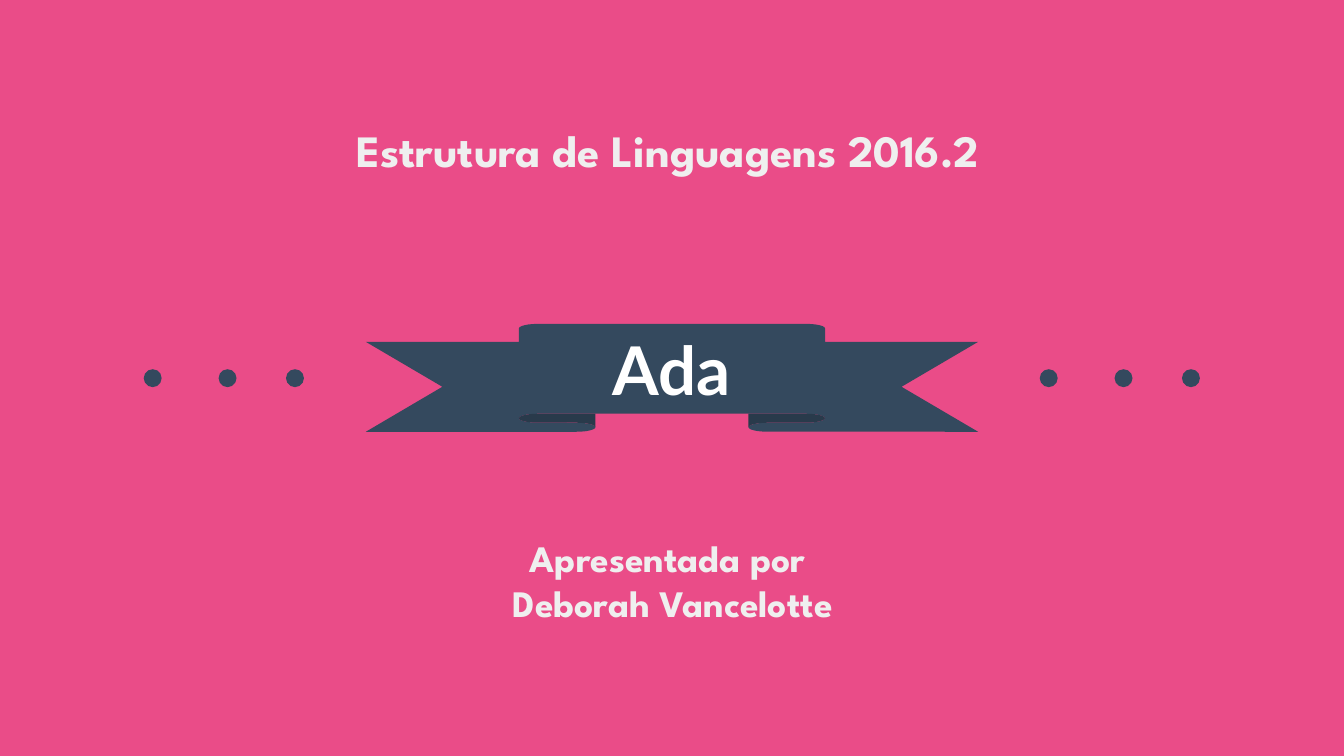
from typing import NamedTuple

from pptx import Presentation
from pptx.dml.color import RGBColor
from pptx.enum.shapes import MSO_SHAPE
from pptx.enum.text import MSO_ANCHOR, MSO_AUTO_SIZE, PP_ALIGN
from pptx.util import Pt

RECTANGLE, RIBBON, OVAL = MSO_SHAPE.RECTANGLE, MSO_SHAPE.UP_RIBBON, MSO_SHAPE.OVAL
TOP, MIDDLE = MSO_ANCHOR.TOP, MSO_ANCHOR.MIDDLE
LEFT, CENTER = PP_ALIGN.LEFT, PP_ALIGN.CENTER
NO_AUTOFIT = MSO_AUTO_SIZE.NONE
TITLE_ONLY = 5

COLORS = {"pink": "EA4C88", "navy": "34495E", "white": "FFFFFF", "pale": "EFEFEF"}
HEADING_FONT, RIBBON_FONT = "League Spartan", "Lato"
INSET = 7.2
DOT_SIZE, DOT_TOP = 9.6, 197.8
DOT_GROUPS = (77.0, 557.0)
DOT_OFFSETS = (0, 40.1, 76.2)


class Box(NamedTuple):
    left: float
    top: float
    width: float
    height: float


class TextStyle(NamedTuple):
    font: str
    size: float
    color: str
    align: PP_ALIGN = CENTER
    anchor: MSO_ANCHOR = TOP


def draw_shape(slide, kind: MSO_SHAPE, box: Box, color: str):
    shape = slide.shapes.add_shape(kind, *map(Pt, box))
    shape.shadow.inherit = False
    shape.fill.solid()
    shape.fill.fore_color.rgb = RGBColor.from_string(COLORS[color])
    shape.line.fill.background()
    return shape


def write_lines(frame, lines: tuple[str, ...], style: TextStyle) -> None:
    frame.word_wrap = True
    frame.auto_size = NO_AUTOFIT
    frame.vertical_anchor = style.anchor
    frame.margin_left = frame.margin_right = Pt(INSET)
    frame.margin_top = frame.margin_bottom = Pt(INSET)
    for index, line in enumerate(lines):
        paragraph = frame.add_paragraph() if index else frame.paragraphs[0]
        paragraph.alignment = style.align
        run = paragraph.add_run()
        run.text = line
        run.font.name = style.font
        run.font.size = Pt(style.size)
        run.font.bold = True
        run.font.color.rgb = RGBColor.from_string(COLORS[style.color])


def place_title(slide, box: Box, text: str, style: TextStyle) -> None:
    course = slide.shapes.title
    course.left, course.top, course.width, course.height = map(Pt, box)
    write_lines(course.text_frame, (text,), style)
    course.element.getparent().append(course.element)


def main() -> None:
    deck = Presentation()
    deck.slide_width, deck.slide_height = Pt(720), Pt(405)
    slide = deck.slides.add_slide(deck.slide_layouts[TITLE_ONLY])

    draw_shape(slide, RECTANGLE, Box(-5.8, 0, 725.8, 405), "pink")

    ribbon = draw_shape(slide, RIBBON, Box(196, 173.5, 328, 57.8), "navy")
    ribbon.adjustments[0] = 0.167
    ribbon.adjustments[1] = 0.5
    write_lines(ribbon.text_frame, ("Ada",),
                TextStyle(RIBBON_FONT, 36, "white", anchor=MIDDLE))

    for group_left in DOT_GROUPS:
        for offset in DOT_OFFSETS:
            draw_shape(slide, OVAL,
                       Box(group_left + offset, DOT_TOP, DOT_SIZE, DOT_SIZE), "navy")

    place_title(slide, Box(184, 58.3, 351.4, 31.7), "Estrutura de Linguagens 2016.2",
                TextStyle(HEADING_FONT, 24, "pale", align=LEFT))

    presenter = slide.shapes.add_textbox(*map(Pt, Box(225.4, 279.4, 270, 57.6)))
    write_lines(presenter.text_frame, ("Apresentada por ", "Deborah Vancelotte"),
                TextStyle(HEADING_FONT, 20, "pale"))

    deck.save("out.pptx")


if __name__ == "__main__":
    main()
